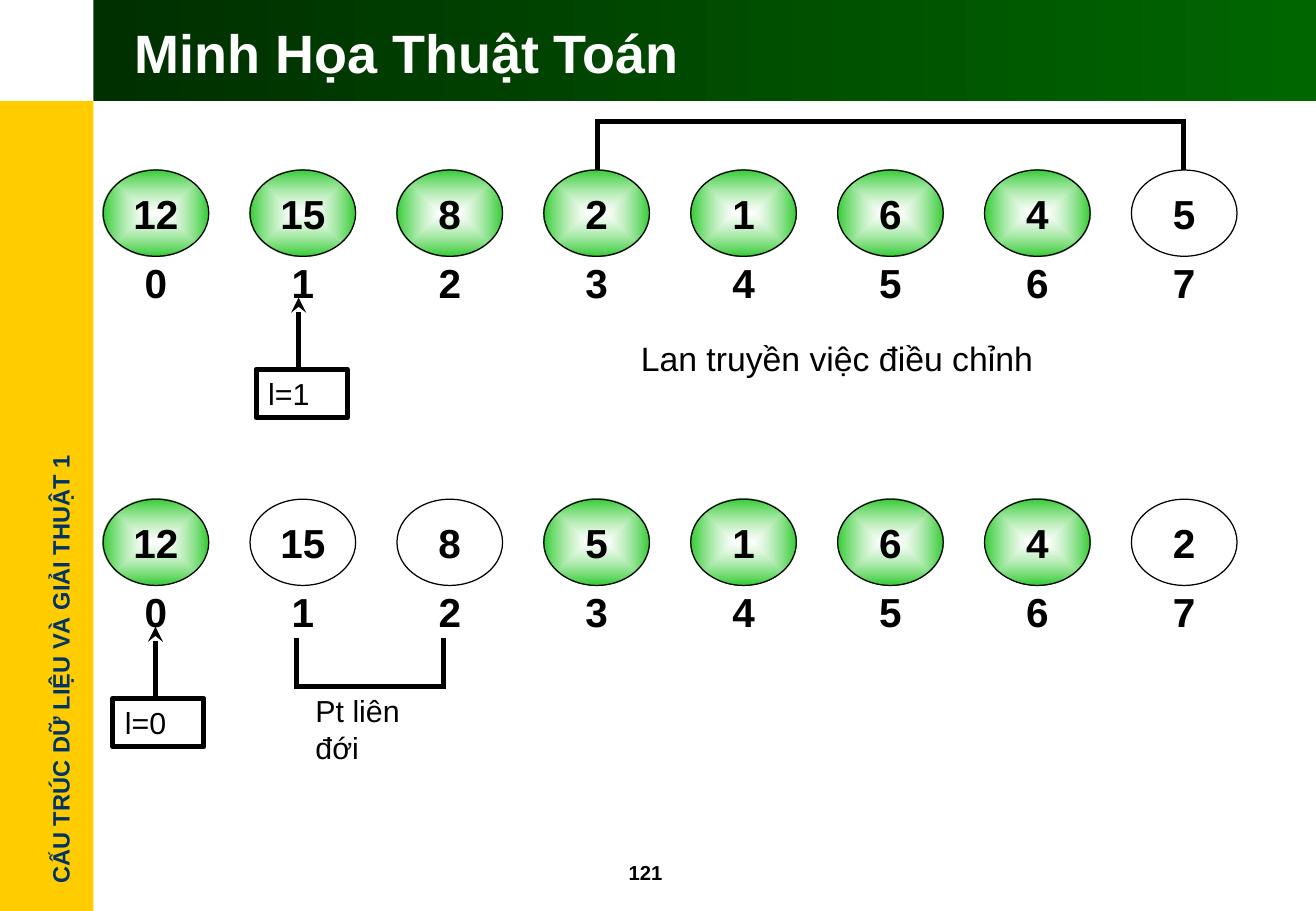
from dataclasses import dataclass

from lxml import etree
from pptx import Presentation
from pptx.dml.color import RGBColor
from pptx.enum.shapes import MSO_CONNECTOR, MSO_SHAPE
from pptx.enum.text import MSO_ANCHOR, PP_ALIGN
from pptx.oxml import parse_xml
from pptx.oxml.ns import nsdecls, qn
from pptx.util import Inches, Pt

OVAL = MSO_SHAPE.OVAL
RECTANGLE = MSO_SHAPE.RECTANGLE
STRAIGHT = MSO_CONNECTOR.STRAIGHT
LEFT = PP_ALIGN.LEFT
CENTER = PP_ALIGN.CENTER
MIDDLE = MSO_ANCHOR.MIDDLE

FONT = "Arial"
BLACK = "000000"
WHITE = "FFFFFF"
FIRST_NODE_LEFT = 0.85
NODE_PITCH = 1.21
NODE_WIDTH = 0.87
NODE_HEIGHT = 0.71
INDEX_DROP = 0.57
POINTER_DROP = 1.64
ARROW_LENGTH = 0.59
LINEAR = '<a:lin ang="0" scaled="1"/>'
FROM_CENTER = '<a:path path="rect"><a:fillToRect l="50000" t="50000" r="50000" b="50000"/></a:path>'


@dataclass(frozen=True)
class Step:
    top: float
    values: tuple[int, ...]
    white_nodes: tuple[int, ...]
    pointer: str
    pointer_left: float
    bracket: tuple[tuple[float, float], ...]


@dataclass(frozen=True)
class Caption:
    text: str
    box: tuple[float, float, float, float]
    size: int
    bold: bool = False
    color: str = BLACK
    rotation: int = 0


STEPS = (
    Step(1.4, (12, 15, 8, 2, 1, 6, 4, 5), (7,), "l=1", 2.11,
         ((4.92, 1.4), (4.92, 1), (9.75, 1), (9.75, 1.4))),
    Step(4.11, (12, 15, 8, 5, 1, 6, 4, 2), (1, 2, 7), "l=0", 0.93,
         ((2.44, 5.25), (2.44, 5.65), (3.65, 5.65), (3.65, 5.25))),
)

CAPTIONS = (
    Caption("CẤU TRÚC DỮ LIỆU VÀ GIẢI THUẬT 1", (-1.37, 5.34, 3.73, 0.34), 14, True, "003366", 270),
    Caption("121", (5.08, 7.03, 0.83, 0.3), 12, True),
    Caption("Minh Họa Thuật Toán", (1.01, 0.09, 9.61, 0.67), 32, True, WHITE),
    Caption("Lan truyền việc điều chỉnh", (5.18, 2.73, 3.52, 0.44), 20),
    Caption("Pt liên đới", (2.5, 5.65, 0.92, 0.7), 18),
)


def rgb(color: str) -> RGBColor:
    return RGBColor.from_string(color)


def write(shape, text: str, size: int, bold: bool = False, color: str = BLACK, align=LEFT) -> None:
    frame = shape.text_frame
    frame.word_wrap = True
    frame.vertical_anchor = MIDDLE
    paragraph = frame.paragraphs[0]
    paragraph.text = text
    paragraph.alignment = align
    paragraph.font.name = FONT
    paragraph.font.size = Pt(size)
    paragraph.font.bold = bold
    paragraph.font.color.rgb = rgb(color)


def outline(shape, points: float) -> None:
    shape.line.color.rgb = rgb(BLACK)
    shape.line.width = Pt(points)


def fill_gradient(shape, start: str, end: str, direction: str, start_alpha: int = 100) -> None:
    gradient = parse_xml(
        f'<a:gradFill {nsdecls("a")} rotWithShape="1"><a:gsLst>'
        f'<a:gs pos="0"><a:srgbClr val="{start}"><a:alpha val="{start_alpha * 1000}"/></a:srgbClr></a:gs>'
        f'<a:gs pos="100000"><a:srgbClr val="{end}"/></a:gs></a:gsLst>{direction}</a:gradFill>'
    )
    shape.element.spPr.find(qn("a:prstGeom")).addnext(gradient)


def add_plain_shape(slide, kind, left: float, top: float, width: float, height: float):
    shape = slide.shapes.add_shape(kind, Inches(left), Inches(top), Inches(width), Inches(height))
    shape.shadow.inherit = False
    return shape


def add_caption(slide, caption: Caption, align=LEFT) -> None:
    box = slide.shapes.add_textbox(*map(Inches, caption.box))
    box.rotation = caption.rotation
    write(box, caption.text, caption.size, caption.bold, caption.color, align)


def add_frame(slide) -> None:
    sidebar = add_plain_shape(slide, RECTANGLE, 0, 0.83, 0.77, 6.67)
    sidebar.fill.solid()
    sidebar.fill.fore_color.rgb = rgb("FFCC00")
    sidebar.line.fill.background()
    title_bar = add_plain_shape(slide, RECTANGLE, 0.77, 0, 10.07, 0.83)
    fill_gradient(title_bar, "002F00", "006600", LINEAR)
    title_bar.line.fill.background()


def add_node(slide, left: float, top: float, value: int, white: bool) -> None:
    node = add_plain_shape(slide, OVAL, left, top, NODE_WIDTH, NODE_HEIGHT)
    if white:
        node.fill.solid()
        node.fill.fore_color.rgb = rgb(WHITE)
        color = node.element.spPr.find(qn("a:solidFill"))[0]
        etree.SubElement(color, qn("a:alpha"), val="60000")
    else:
        fill_gradient(node, WHITE, "33CC33", FROM_CENTER, 60)
    outline(node, 0.75)
    write(node, str(value), 24, True, align=CENTER)


def add_pointer(slide, text: str, left: float, top: float) -> None:
    label = add_plain_shape(slide, RECTANGLE, left, top, 0.75, 0.4)
    label.fill.background()
    outline(label, 3)
    write(label, text, 18)
    arrow_x = Inches(left + 0.35)
    arrow = slide.shapes.add_connector(
        STRAIGHT, arrow_x, Inches(top), arrow_x, Inches(top - ARROW_LENGTH))
    outline(arrow, 3)
    etree.SubElement(arrow.line._get_or_add_ln(), qn("a:tailEnd"), type="stealth")
    etree.SubElement(arrow.element.spPr, qn("a:effectLst"))


def add_bracket(slide, points: tuple[tuple[float, float], ...]) -> None:
    start, *others = [(Inches(x), Inches(y)) for x, y in points]
    builder = slide.shapes.build_freeform(*start)
    builder.add_line_segments(others, close=False)
    bracket = builder.convert_to_shape()
    bracket.shadow.inherit = False
    bracket.fill.background()
    outline(bracket, 3)
    etree.SubElement(bracket.line._get_or_add_ln(), qn("a:miter"), lim="800000")


def add_step(slide, step: Step) -> None:
    for index, value in enumerate(step.values):
        left = FIRST_NODE_LEFT + index * NODE_PITCH
        add_node(slide, left, step.top, value, index in step.white_nodes)
        index_box = (left, step.top + INDEX_DROP, NODE_WIDTH, NODE_HEIGHT)
        add_caption(slide, Caption(str(index), index_box, 24, True), CENTER)
    add_pointer(slide, step.pointer, step.pointer_left, step.top + POINTER_DROP)
    add_bracket(slide, step.bracket)


def main() -> None:
    presentation = Presentation()
    presentation.slide_width = Inches(10.84)
    presentation.slide_height = Inches(7.5)
    slide = presentation.slides.add_slide(presentation.slide_layouts[6])
    add_frame(slide)
    for step in STEPS:
        add_step(slide, step)
    for caption in CAPTIONS:
        add_caption(slide, caption)
    presentation.save("out.pptx")


if __name__ == "__main__":
    main()
